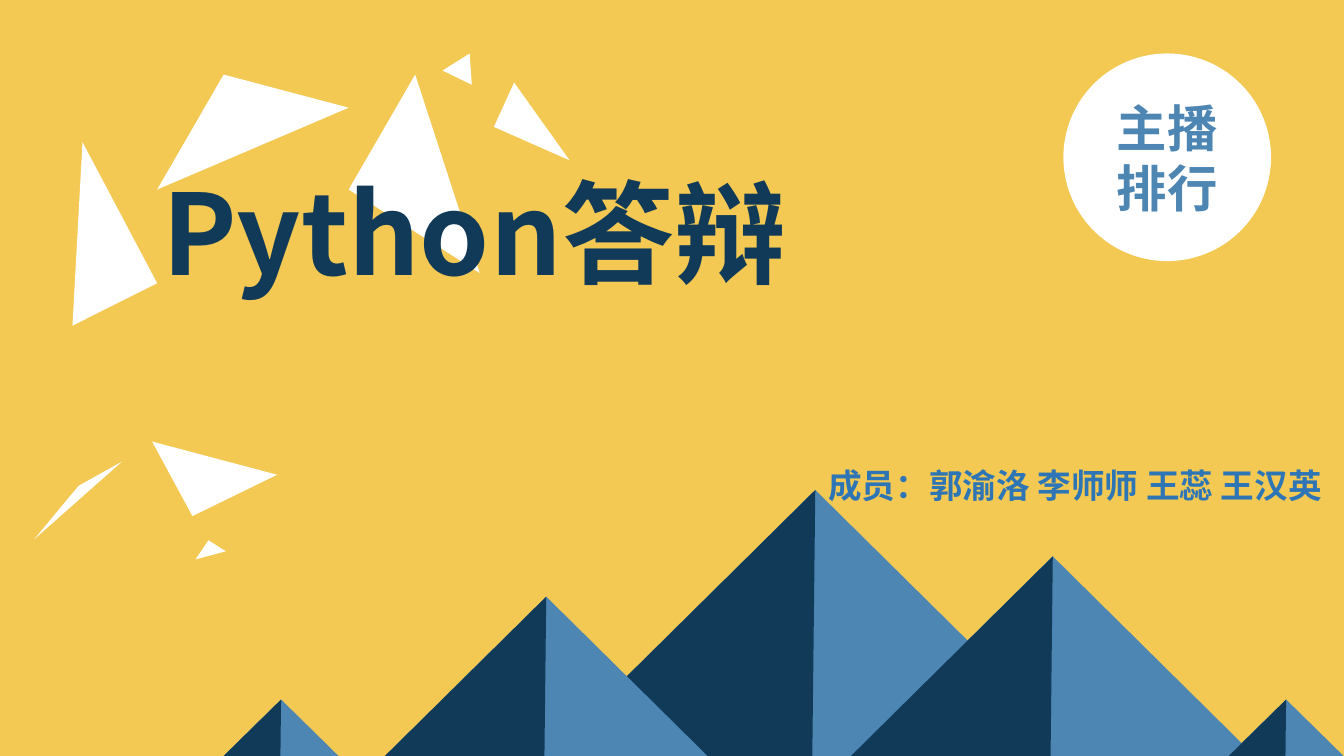
"""Build the title slide with mountains, white shards and a round badge."""
from lxml.etree import SubElement
from pptx import Presentation
from pptx.dml.color import RGBColor
from pptx.enum.shapes import MSO_SHAPE
from pptx.enum.text import MSO_ANCHOR, MSO_AUTO_SIZE, PP_ALIGN
from pptx.oxml.ns import qn
from pptx.util import Pt

NAVY, BLUE, WHITE = "113A59", "4D86B3", "FFFFFF"
BOTTOM = 540


def paint(sp, color):
    sp.shadow.inherit = False
    sp.fill.solid()
    sp.fill.fore_color.rgb = RGBColor.from_string(color)
    sp.line.fill.background()


def write(sp, text, color, fmt):
    p = sp.text_frame.paragraphs[0]
    r = p.add_run()
    r.text = text
    for name, value in fmt.items():
        setattr(r.font, name, value)
    r.font.color.rgb = RGBColor.from_string(color)
    SubElement(r.font._element, qn("a:ea"), typeface=fmt["name"])
    return p


prs = Presentation()
prs.slide_width, prs.slide_height = Pt(960), Pt(BOTTOM)
s = prs.slides.add_slide(prs.slide_layouts[6])
s.background.fill.solid()
s.background.fill.fore_color.rgb = RGBColor.from_string("F3C953")

mountains = [
    (390.2, 350, 384.4),
    (275, 426.2, 230.4),
    (607.8, 397.4, 288.4),
    (159.8, 499.7, 82),
    (877.7, 499.7, 82),
]
for left, top, width in mountains:
    height = BOTTOM - top
    peak = left + width / 2
    group = s.shapes.add_group_shape()
    sp = group.shapes.add_shape(MSO_SHAPE.ISOSCELES_TRIANGLE, Pt(left), Pt(top), Pt(width), Pt(height))
    paint(sp, BLUE)
    fb = group.shapes.build_freeform(Pt(peak), Pt(top))
    fb.add_line_segments([(Pt(peak - height / 90), Pt(BOTTOM)), (Pt(left), Pt(BOTTOM))])
    paint(fb.convert_to_shape(), NAVY)

shards = [
    [(112.3, 135.4), (159.8, 53.3), (249.1, 77)],
    [(249.1, 135.4), (296.6, 53.3), (342.7, 195.1)],
    [(137.5, 368.6), (108.7, 315.4), (198, 339.1)],
    [(51.8, 232.6), (59, 101.5), (112.3, 202.3)],
    [(367.2, 59), (406.8, 114.5), (352.8, 90.7)],
    [(56.2, 347), (87.1, 329.8), (24.5, 385.2)],
    [(149, 385.9), (161.3, 393.8), (139.7, 399.6)],
    [(316.1, 50.4), (335.5, 38.2), (337, 60.5)],
]
for shard in shards:
    start, *rest = [(Pt(x), Pt(y)) for x, y in shard]
    fb = s.shapes.build_freeform(*start)
    fb.add_line_segments(rest)
    paint(fb.convert_to_shape(), WHITE)

title = s.shapes.add_textbox(Pt(108.7), Pt(113), Pt(510.5), Pt(104.4))
title.text_frame.word_wrap = True
title.text_frame.auto_size = MSO_AUTO_SIZE.SHAPE_TO_FIT_TEXT
write(title, "Python答辩", NAVY, {"name": "Noto Sans CJK SC", "size": Pt(80), "bold": True})

badge = s.shapes.add_shape(MSO_SHAPE.OVAL, Pt(759.6), Pt(38.2), Pt(148.3), Pt(148.3))
paint(badge, WHITE)
badge.text_frame.word_wrap = True
badge.text_frame.vertical_anchor = MSO_ANCHOR.MIDDLE
p = write(badge, "主播排行", BLUE, {"name": "Calibri", "size": Pt(36), "bold": True})
p.alignment = PP_ALIGN.CENTER

members = s.shapes.add_textbox(Pt(584.6), Pt(325.4), Pt(375.1), Pt(36.7))
members.text_frame.word_wrap = False
members.text_frame.auto_size = MSO_AUTO_SIZE.SHAPE_TO_FIT_TEXT
p = write(members, "成员：郭渝洛 李师师 王蕊 王汉英", "2E75B6",
          {"name": "Noto Sans CJK SC", "size": Pt(24), "bold": True})
p.line_spacing = 1.1
pPr = p._p.get_or_add_pPr()
pPr.set("marL", str(Pt(27)))
pPr.set("indent", str(Pt(-27)))

prs.save("out.pptx")
